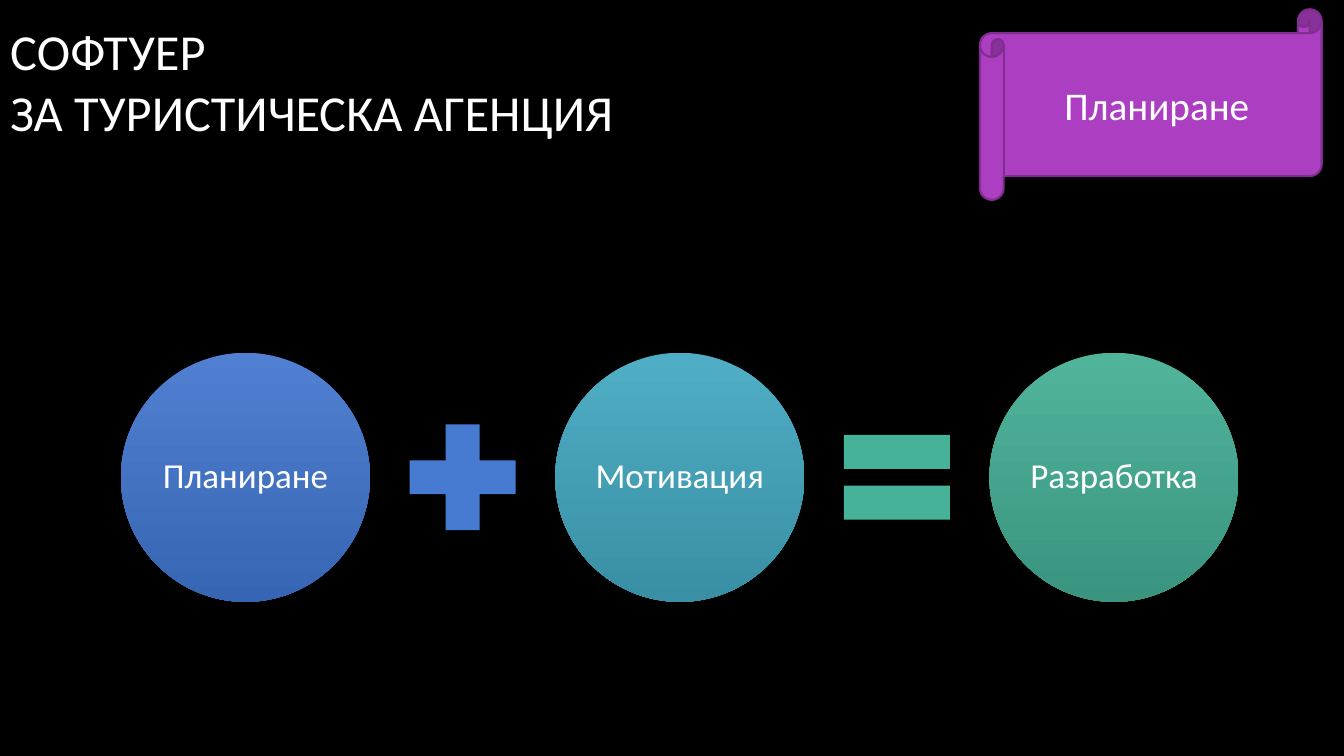
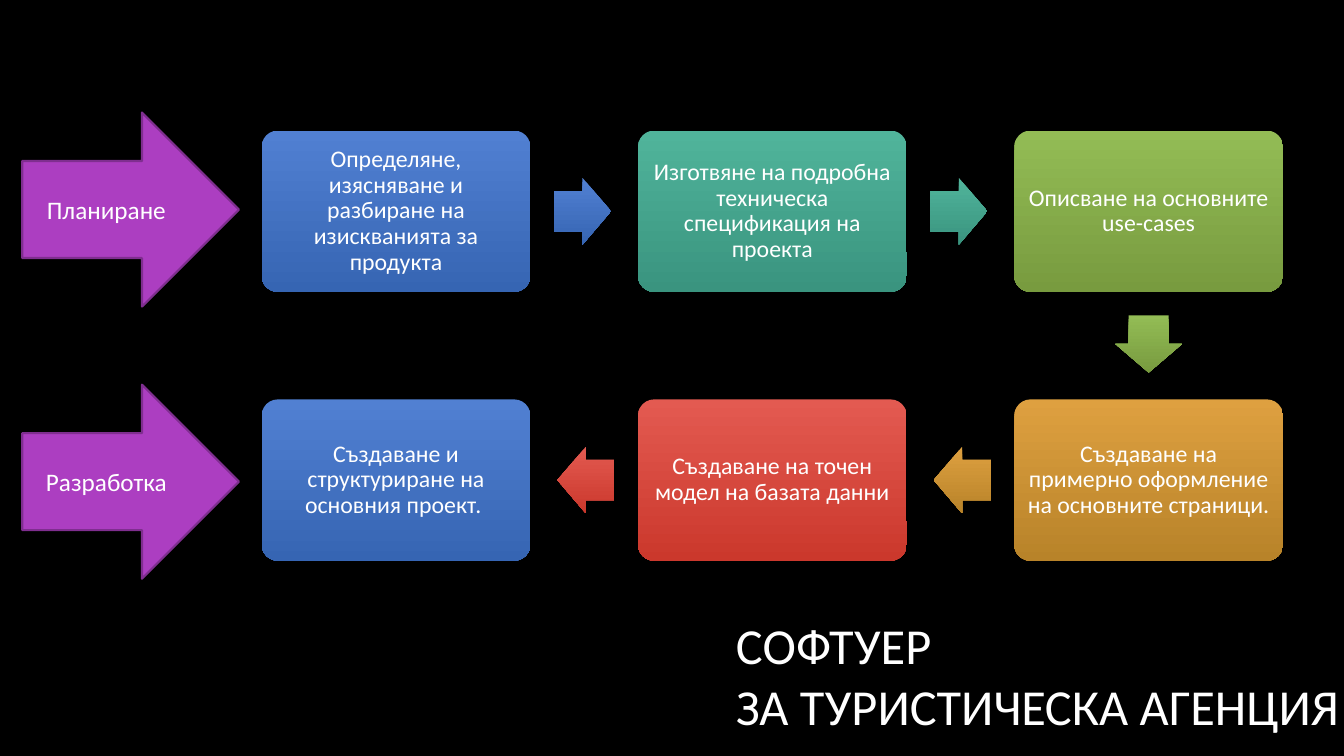
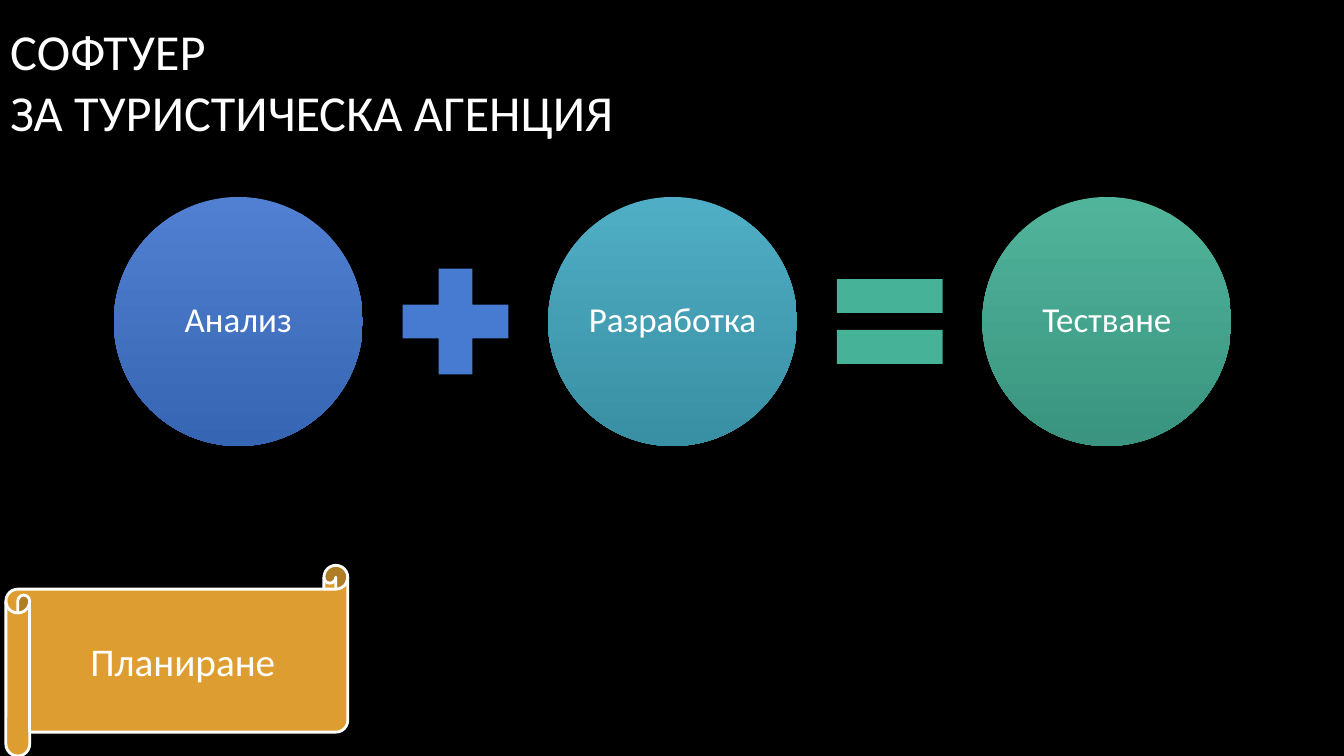
from dataclasses import dataclass
from typing import Any, Optional

from pptx import Presentation
from pptx.dml.color import RGBColor
from pptx.enum.shapes import MSO_SHAPE
from pptx.enum.text import MSO_ANCHOR, MSO_AUTO_SIZE, PP_ALIGN
from pptx.util import Emu, Inches, Pt

CELL = Inches(7.5) / 18
COLUMNS, ROWS = 32, 18


@dataclass(frozen=True)
class Paint:
    top: str
    bottom: Optional[str] = None
    edge: Optional[str] = None
    edge_width: float = 1.5


@dataclass(frozen=True)
class Theme:
    font: str = "Calibri"
    background: str = "000000"
    text: str = "FFFFFF"
    title_size: int = 36
    scroll_size: int = 28
    circle_size: int = 25
    phase_size: int = 18
    step_size: int = 17
    blue: Paint = Paint("5180D2", "3665B3")
    cyan: Paint = Paint("4FAEC5", "398FA3")
    teal: Paint = Paint("50B49B", "3A947F")
    green: Paint = Paint("93BC55", "789B3F")
    orange: Paint = Paint("DEA040", "B88329")
    red: Paint = Paint("E35A51", "CB382C")
    plus: Paint = Paint("477BD1")
    equals: Paint = Paint("46B298")
    purple: Paint = Paint("AC3EC1", edge="7F2E8F")
    gold: Paint = Paint("DD9D31", edge="FFFFFF", edge_width=2)


THEME = Theme()


@dataclass(frozen=True)
class Area:
    column: float
    row: float
    columns: float
    rows: float

    def emu(self) -> list[Emu]:
        return [Emu(round(n * CELL)) for n in (self.column, self.row, self.columns, self.rows)]


@dataclass(frozen=True)
class Label:
    text: str
    size: int
    inset: Optional[float] = None
    spacing: float = 1.0


@dataclass(frozen=True)
class Step:
    text: str
    column: int
    row: int
    paint: Paint


TITLE_LINES = ("СОФТУЕР ", "ЗА ТУРИСТИЧЕСКА АГЕНЦИЯ")
PHASES = ("Планиране", "Разработка")
STEPS = (
    Step("Определяне, изясняване и разбиране на изискванията за продукта", 0, 0, THEME.blue),
    Step("Изготвяне на подробна техническа спецификация на проекта", 1, 0, THEME.teal),
    Step("Описване на основните use-cases", 2, 0, THEME.green),
    Step("Създаване на примерно оформление на основните страници.", 2, 1, THEME.orange),
    Step("Създаване на точен модел на базата данни", 1, 1, THEME.red),
    Step("Създаване и структуриране на основния проект. ", 0, 1, THEME.blue),
)
ARROWS = {
    (1, 0): MSO_SHAPE.RIGHT_ARROW,
    (0, 1): MSO_SHAPE.DOWN_ARROW,
    (-1, 0): MSO_SHAPE.LEFT_ARROW,
}


def apply(target: Any, formats: dict[str, Any]) -> None:
    for attribute, value in formats.items():
        setattr(target, attribute, value)


def style_font(font: Any, size: int) -> None:
    apply(font, {"name": THEME.font, "size": Pt(size), "bold": False})
    font.color.rgb = RGBColor.from_string(THEME.text)


def paint_shape(shape: Any, paint: Paint) -> None:
    shape.shadow.inherit = False
    if paint.bottom:
        shape.fill.gradient()
        shape.fill.gradient_angle = 270
        for stop, color, position in zip(shape.fill.gradient_stops, (paint.top, paint.bottom), (0, 1)):
            stop.color.rgb = RGBColor.from_string(color)
            stop.position = position
    else:
        shape.fill.solid()
        shape.fill.fore_color.rgb = RGBColor.from_string(paint.top)
    if paint.edge:
        shape.line.color.rgb = RGBColor.from_string(paint.edge)
        shape.line.width = Pt(paint.edge_width)
    else:
        shape.line.fill.background()


def write_label(shape: Any, label: Label) -> None:
    frame = shape.text_frame
    apply(frame, {"word_wrap": True, "vertical_anchor": MSO_ANCHOR.MIDDLE})
    if label.inset is not None:
        sides = ("margin_left", "margin_top", "margin_right", "margin_bottom")
        apply(frame, dict.fromkeys(sides, Inches(label.inset)))
    paragraph = frame.paragraphs[0]
    apply(paragraph, {"alignment": PP_ALIGN.CENTER, "line_spacing": label.spacing})
    run = paragraph.add_run()
    run.text = label.text
    style_font(run.font, label.size)


def draw(slide: Any, kind: MSO_SHAPE, area: Area, paint: Paint,
         label: Optional[Label] = None, adjustments: tuple[float, ...] = ()) -> None:
    shape = slide.shapes.add_shape(kind, *area.emu())
    for index, value in enumerate(adjustments):
        shape.adjustments[index] = value
    paint_shape(shape, paint)
    if label:
        write_label(shape, label)


def add_titled_slide(deck: Any, column: float, row: float) -> Any:
    slide = deck.slides.add_slide(deck.slide_layouts[5])
    title = slide.shapes.title
    apply(title, dict(zip(("left", "top", "width", "height"), Area(column, row, 26.59, 3.82).emu())))
    apply(title.text_frame, {
        "word_wrap": True,
        "auto_size": MSO_AUTO_SIZE.NONE,
        "vertical_anchor": MSO_ANCHOR.MIDDLE,
    })
    paragraph = title.text_frame.paragraphs[0]
    apply(paragraph, {"alignment": PP_ALIGN.LEFT, "line_spacing": 1.0})
    for index, line in enumerate(TITLE_LINES):
        if index:
            paragraph.add_line_break()
        run = paragraph.add_run()
        run.text = line
        style_font(run.font, THEME.title_size)
    return slide


def draw_scroll(slide: Any, column: float, row: float, paint: Paint) -> None:
    draw(slide, MSO_SHAPE.HORIZONTAL_SCROLL, Area(column, row, 8.14, 4.54), paint,
         Label("Планиране", THEME.scroll_size))


def draw_equation(slide: Any, column: float, row: float, terms: tuple[str, str, str]) -> None:
    diameter, sign, gap = 5.93, 3.43, 0.49
    pitch = diameter + sign + 2 * gap
    for index, (term, paint) in enumerate(zip(terms, (THEME.blue, THEME.cyan, THEME.teal))):
        draw(slide, MSO_SHAPE.OVAL, Area(column + index * pitch, row, diameter, diameter), paint,
             Label(term, THEME.circle_size, 0.03, 0.9))
    signs = ((MSO_SHAPE.MATH_PLUS, THEME.plus), (MSO_SHAPE.MATH_EQUAL, THEME.equals))
    for index, (kind, paint) in enumerate(signs):
        left = column + index * pitch + diameter + gap
        draw(slide, kind, Area(left, row + (diameter - sign) / 2, sign, sign), paint)


def step_area(step: Step) -> Area:
    return Area(6.23 + step.column * 8.96, 3.11 + step.row * 6.4, 6.4, 3.84)


def draw_flow_arrow(slide: Any, source: Step, target: Step) -> None:
    length, breadth, gap = 1.36, 1.59, 0.56
    across, down = target.column - source.column, target.row - source.row
    box = step_area(source)
    center_column = box.column + box.columns / 2 + across * (box.columns / 2 + gap + length / 2)
    center_row = box.row + box.rows / 2 + down * (box.rows / 2 + gap + length / 2)
    columns, rows = (length, breadth) if across else (breadth, length)
    area = Area(center_column - columns / 2, center_row - rows / 2, columns, rows)
    draw(slide, ARROWS[across, down], area, source.paint, adjustments=(0.6, 0.5))


def draw_process(slide: Any) -> None:
    for step in STEPS:
        draw(slide, MSO_SHAPE.ROUNDED_RECTANGLE, step_area(step), step.paint,
             Label(step.text, THEME.step_size, 0.07, 0.9), (0.1,))
    for source, target in zip(STEPS, STEPS[1:]):
        draw_flow_arrow(slide, source, target)
    for index, phase in enumerate(PHASES):
        draw(slide, MSO_SHAPE.RIGHT_ARROW, Area(0.53, 2.68 + index * 6.48, 5.16, 4.62),
             THEME.purple, Label(phase, THEME.phase_size))


def main() -> None:
    deck = Presentation()
    apply(deck, {"slide_width": Emu(round(COLUMNS * CELL)), "slide_height": Emu(round(ROWS * CELL))})
    backdrop = deck.slide_master.background.fill
    backdrop.solid()
    backdrop.fore_color.rgb = RGBColor.from_string(THEME.background)

    planning = add_titled_slide(deck, 0, 0.02)
    draw_equation(planning, 2.88, 8.4, ("Планиране", "Мотивация", "Разработка"))
    draw_scroll(planning, 23.33, 0.22, THEME.purple)

    process = add_titled_slide(deck, 17.28, 14.16)
    draw_process(process)

    testing = add_titled_slide(deck, 0, 0.02)
    draw_equation(testing, 2.71, 4.69, ("Анализ", "Разработка", "Тестване"))
    draw_scroll(testing, 0.14, 13.46, THEME.gold)

    deck.save("out.pptx")


if __name__ == "__main__":
    main()
